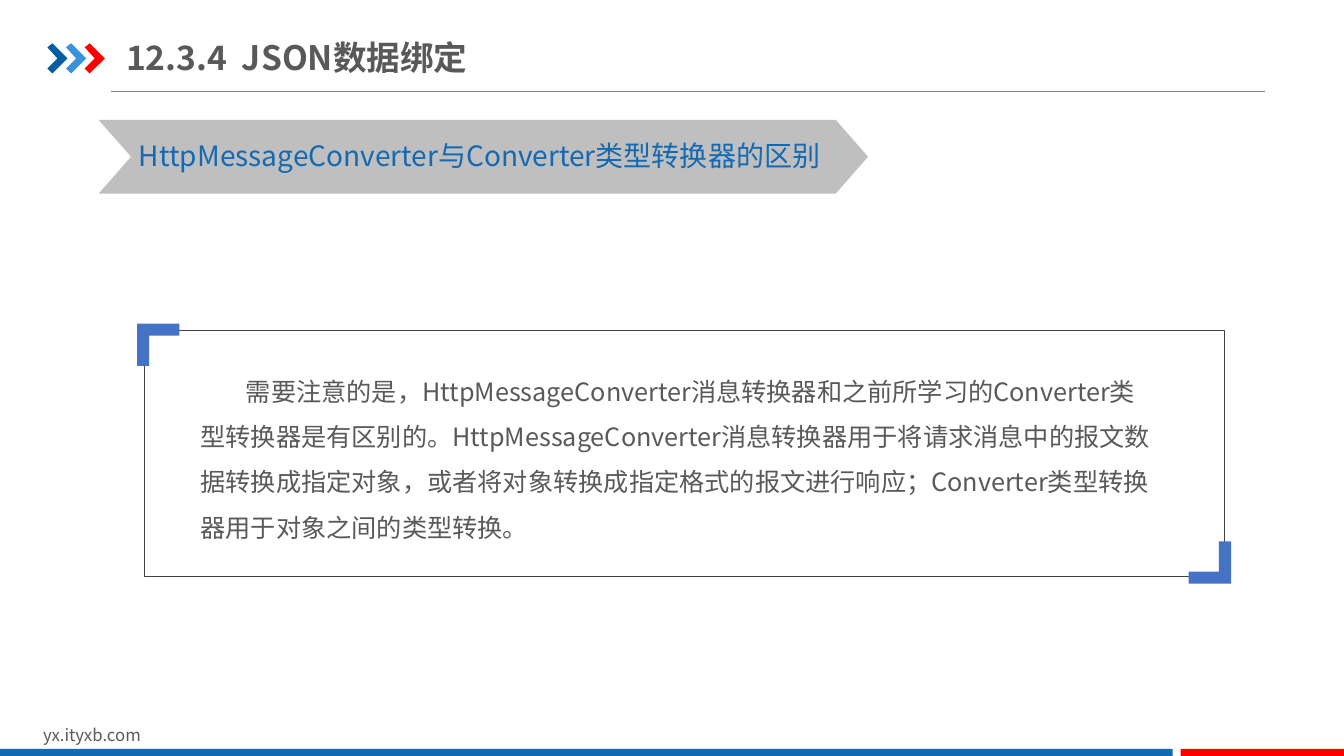
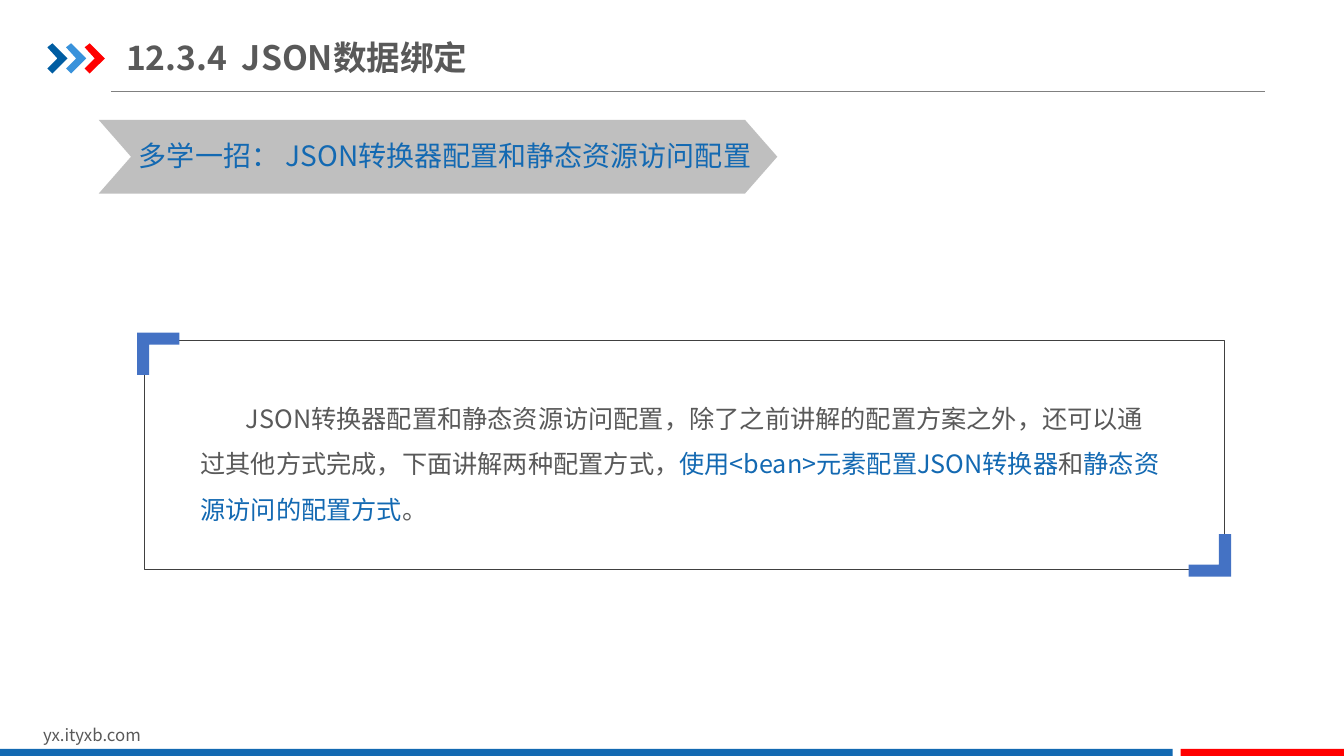
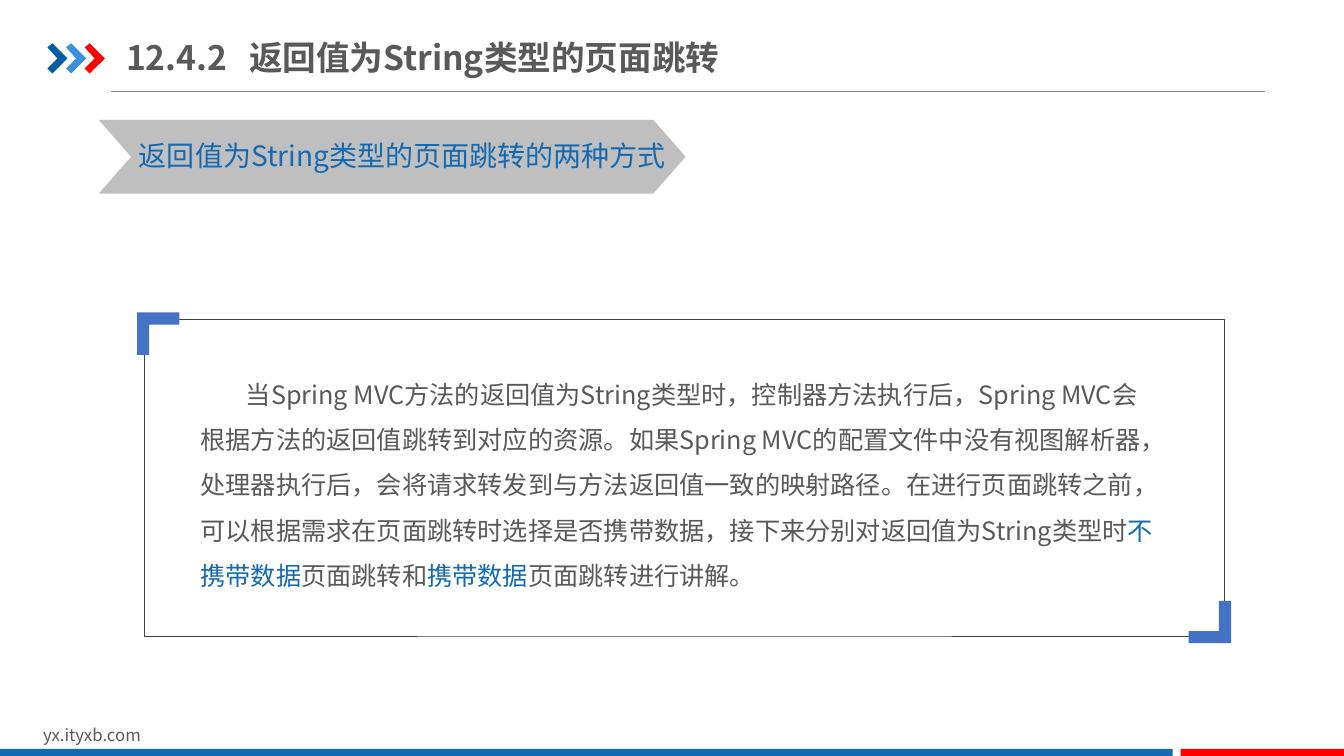
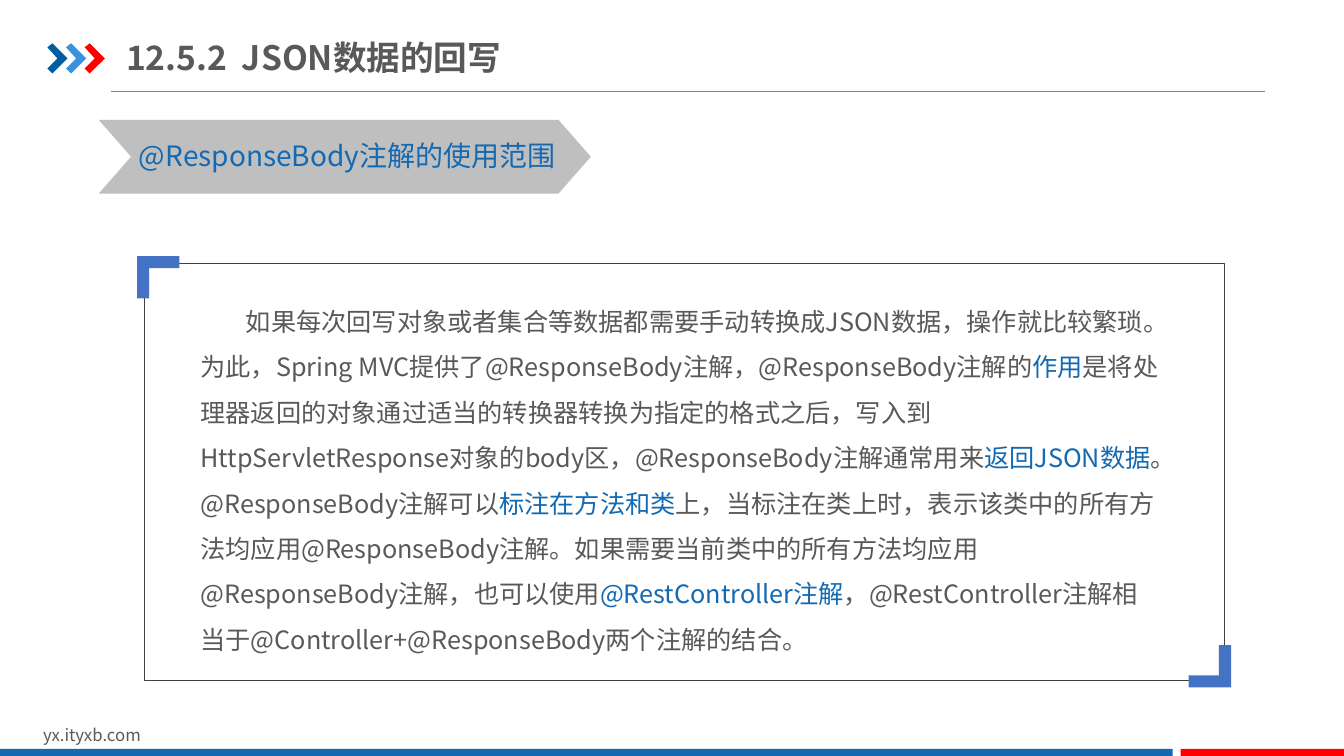
from dataclasses import dataclass

from lxml import etree
from pptx import Presentation
from pptx.dml.color import RGBColor
from pptx.enum.shapes import MSO_CONNECTOR, MSO_SHAPE
from pptx.enum.text import MSO_ANCHOR
from pptx.oxml.ns import qn
from pptx.util import Inches, Pt

FONT = "Noto Sans CJK SC"
GREY, BLUE, RED = "595959", "1369B2", "FF0000"
RULE, BORDER, BANNER, CORNER = "808080", "404040", "BFBFBF", "4472C4"
MARK_COLOURS = ("005DA2", "3992DB", RED)
MARK_OUTLINE = ((0, 0.04), (0.05, 0), (0.2, 0.15), (0.05, 0.3), (0, 0.25), (0.1, 0.15))
CORNER_SIZE, CORNER_THICKNESS, OVERHANG = 0.42, 0.12, 0.07
CORNER_OUTLINE = (
    (0, 0), (CORNER_SIZE, 0), (CORNER_SIZE, CORNER_THICKNESS),
    (CORNER_THICKNESS, CORNER_THICKNESS), (CORNER_THICKNESS, CORNER_SIZE), (0, CORNER_SIZE),
)
PANEL_LEFT, PANEL_WIDTH = 1.43, 10.71


@dataclass
class Topic:
    """Content of one slide; every second part of the body is highlighted."""
    number: str
    title: str
    title_width: float
    banner: str
    banner_width: float
    panel_top: float
    panel_height: float
    body_top: float
    body_height: float
    body: tuple
    title_tab: float = 1.15


TOPICS = (
    Topic(
        "12.3.4", "JSON数据绑定", 3.61,
        "HttpMessageConverter与Converter类型转换器的区别", 7.63,
        3.28, 2.44, 3.53, 1.95,
        ("需要注意的是，HttpMessageConverter消息转换器和之前所学习的Converter类型转换器是有区别的。"
         "HttpMessageConverter消息转换器用于将请求消息中的报文数据转换成指定对象，"
         "或者将对象转换成指定格式的报文进行响应；Converter类型转换器用于对象之间的类型转换。",),
    ),
    Topic(
        "12.3.4", "JSON数据绑定", 3.61,
        "多学一招： JSON转换器配置和静态资源访问配置", 6.73,
        3.37, 2.28, 3.8, 1.52,
        ("JSON转换器配置和静态资源访问配置，除了之前讲解的配置方案之外，"
         "还可以通过其他方式完成，下面讲解两种配置方式，",
         "使用<bean>元素配置JSON转换器", "和", "静态资源访问的配置方式", "。"),
    ),
    Topic(
        "12.4.2", "返回值为String类型的页面跳转", 6.22,
        "返回值为String类型的页面跳转的两种方式", 5.82,
        3.17, 3.14, 3.56, 2.34,
        ("当Spring MVC方法的返回值为String类型时，控制器方法执行后，"
         "Spring MVC会根据方法的返回值跳转到对应的资源。"
         "如果Spring MVC的配置文件中没有视图解析器，处理器执行后，"
         "会将请求转发到与方法返回值一致的映射路径。在进行页面跳转之前，"
         "可以根据需求在页面跳转时选择是否携带数据，接下来分别对返回值为String类型时",
         "不携带数据", "页面跳转和", "携带数据", "页面跳转进行讲解。"),
        title_tab=1.22,
    ),
    Topic(
        "12.5.2", "JSON数据的回写", 4.09,
        "@ResponseBody注解的使用范围", 4.88,
        2.61, 4.14, 2.84, 3.68,
        ("如果每次回写对象或者集合等数据都需要手动转换成JSON数据，操作就比较繁琐。"
         "为此，Spring MVC提供了@ResponseBody注解，@ResponseBody注解的",
         "作用",
         "是将处理器返回的对象通过适当的转换器转换为指定的格式之后，"
         "写入到HttpServletResponse对象的body区，@ResponseBody注解通常用来",
         "返回JSON数据",
         "。@ResponseBody注解可以",
         "标注在方法和类",
         "上，当标注在类上时，表示该类中的所有方法均应用@ResponseBody注解。"
         "如果需要当前类中的所有方法均应用@ResponseBody注解，也可以使用",
         "@RestController注解",
         "，@RestController注解相当于@Controller+@ResponseBody两个注解的结合。"),
    ),
)


def colour(value):
    return RGBColor.from_string(value)


def paint(shape, fill):
    shape.shadow.inherit = False
    shape.fill.solid()
    shape.fill.fore_color.rgb = colour(fill)
    shape.line.fill.background()


def add_block(slide, preset, left, top, width, height, fill):
    block = slide.shapes.add_shape(
        preset, Inches(left), Inches(top), Inches(width), Inches(height))
    paint(block, fill)
    return block


def add_outline(slide, left, top, points, fill):
    """Draw a closed polygon whose points are relative to left and top."""
    start, *rest = [(Inches(left + x), Inches(top + y)) for x, y in points]
    builder = slide.shapes.build_freeform(*start)
    builder.add_line_segments(rest, close=True)
    outline = builder.convert_to_shape()
    paint(outline, fill)
    return outline


def add_text_area(slide, left, top, width, height):
    frame = slide.shapes.add_textbox(
        Inches(left), Inches(top), Inches(width), Inches(height)).text_frame
    frame.word_wrap = True
    return frame


def add_run(paragraph, text, size, text_colour=GREY, bold=False):
    run = paragraph.add_run()
    run.text = text
    run.font.size = Pt(size)
    run.font.bold = bold
    run.font.name = FONT
    run.font.color.rgb = colour(text_colour)
    etree.SubElement(run.font._element, qn("a:ea"), typeface=FONT)


def add_frame(slide):
    """Draw the header rule, the arrow marks and the footer of every slide."""
    rule = slide.shapes.add_connector(
        MSO_CONNECTOR.STRAIGHT, Inches(1.1), Inches(0.91), Inches(12.55), Inches(0.91))
    rule.line.color.rgb = colour(RULE)
    rule.line.width = Pt(0.5)
    etree.SubElement(rule._element.spPr, qn("a:effectLst"))
    for index, mark_colour in enumerate(MARK_COLOURS):
        add_outline(slide, 0.47 + index * 0.185, 0.43, MARK_OUTLINE, mark_colour)
    address = add_text_area(slide, 0.33, 7.14, 3.18, 0.3)
    add_run(address.paragraphs[0], "yx.ityxb.com", 12)
    for left, width, fill in ((0, 11.63, BLUE), (11.71, 1.63, RED)):
        add_block(slide, MSO_SHAPE.RECTANGLE, left, 7.43, width, 0.09, fill)


def add_title(slide, topic):
    frame = add_text_area(slide, 1.25, 0.29, topic.title_width, 0.55)
    frame.vertical_anchor = MSO_ANCHOR.MIDDLE
    frame.margin_left = frame.margin_right = 0
    frame.margin_top = frame.margin_bottom = Inches(0.07)
    paragraph = frame.paragraphs[0]
    tabs = etree.SubElement(paragraph._p.get_or_add_pPr(), qn("a:tabLst"))
    etree.SubElement(tabs, qn("a:tab"), pos=str(Inches(topic.title_tab)), algn="l")
    add_run(paragraph, f"{topic.number}\t{topic.title}", 24, bold=True)


def add_banner(slide, topic):
    ribbon = add_block(slide, MSO_SHAPE.CHEVRON, 0.98, 1.19, topic.banner_width, 0.73, BANNER)
    ribbon.adjustments[0] = 0.438
    caption = add_text_area(slide, 1.28, 1.33, topic.banner_width, 0.44)
    add_run(caption.paragraphs[0], topic.banner, 20, BLUE)


def add_body(slide, topic):
    frame = add_text_area(slide, 1.89, topic.body_top, 9.71, topic.body_height)
    paragraph = frame.paragraphs[0]
    paragraph.line_spacing = 1.5
    paragraph._p.get_or_add_pPr().set("indent", str(Inches(0.45)))
    for index, part in enumerate(topic.body):
        add_run(paragraph, part, 18, BLUE if index % 2 else GREY)


def add_panel(slide, topic):
    """Draw the thin border with its two angled corners."""
    top, height = topic.panel_top, topic.panel_height
    border = add_block(
        slide, MSO_SHAPE.RECTANGLE, PANEL_LEFT, top, PANEL_WIDTH, height, BORDER)
    border.fill.background()
    border.line.color.rgb = colour(BORDER)
    border.line.width = Pt(0.25)
    add_outline(slide, PANEL_LEFT - OVERHANG, top - OVERHANG, CORNER_OUTLINE, CORNER)
    inset = OVERHANG - CORNER_SIZE
    lower_corner = add_outline(
        slide, PANEL_LEFT + PANEL_WIDTH + inset, top + height + inset, CORNER_OUTLINE, CORNER)
    lower_corner.rotation = 180


def main():
    deck = Presentation()
    deck.slide_width, deck.slide_height = Inches(13.33), Inches(7.5)
    for topic in TOPICS:
        slide = deck.slides.add_slide(deck.slide_layouts[6])
        add_frame(slide)
        add_banner(slide, topic)
        add_title(slide, topic)
        add_body(slide, topic)
        add_panel(slide, topic)
    deck.save("out.pptx")


if __name__ == "__main__":
    main()
